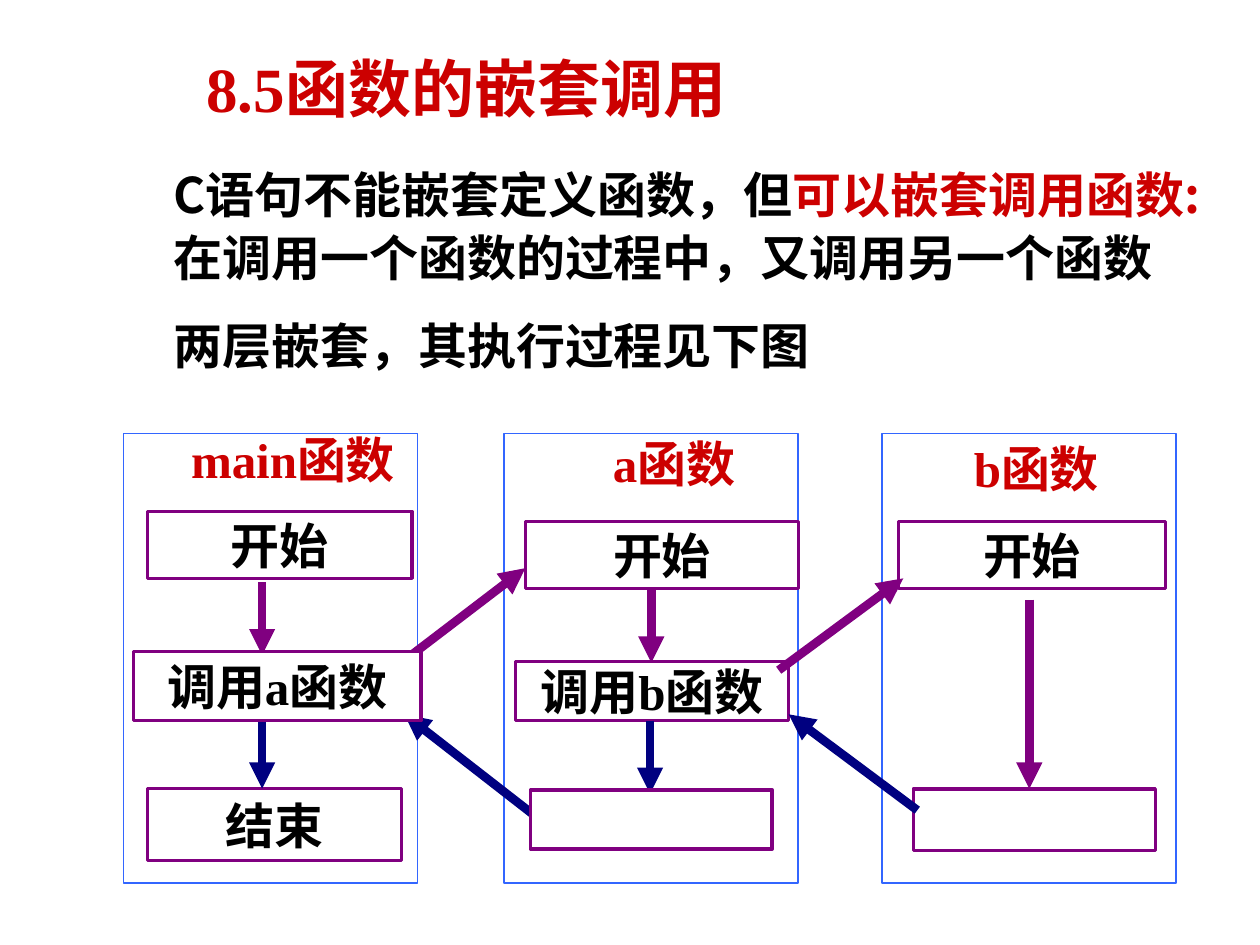
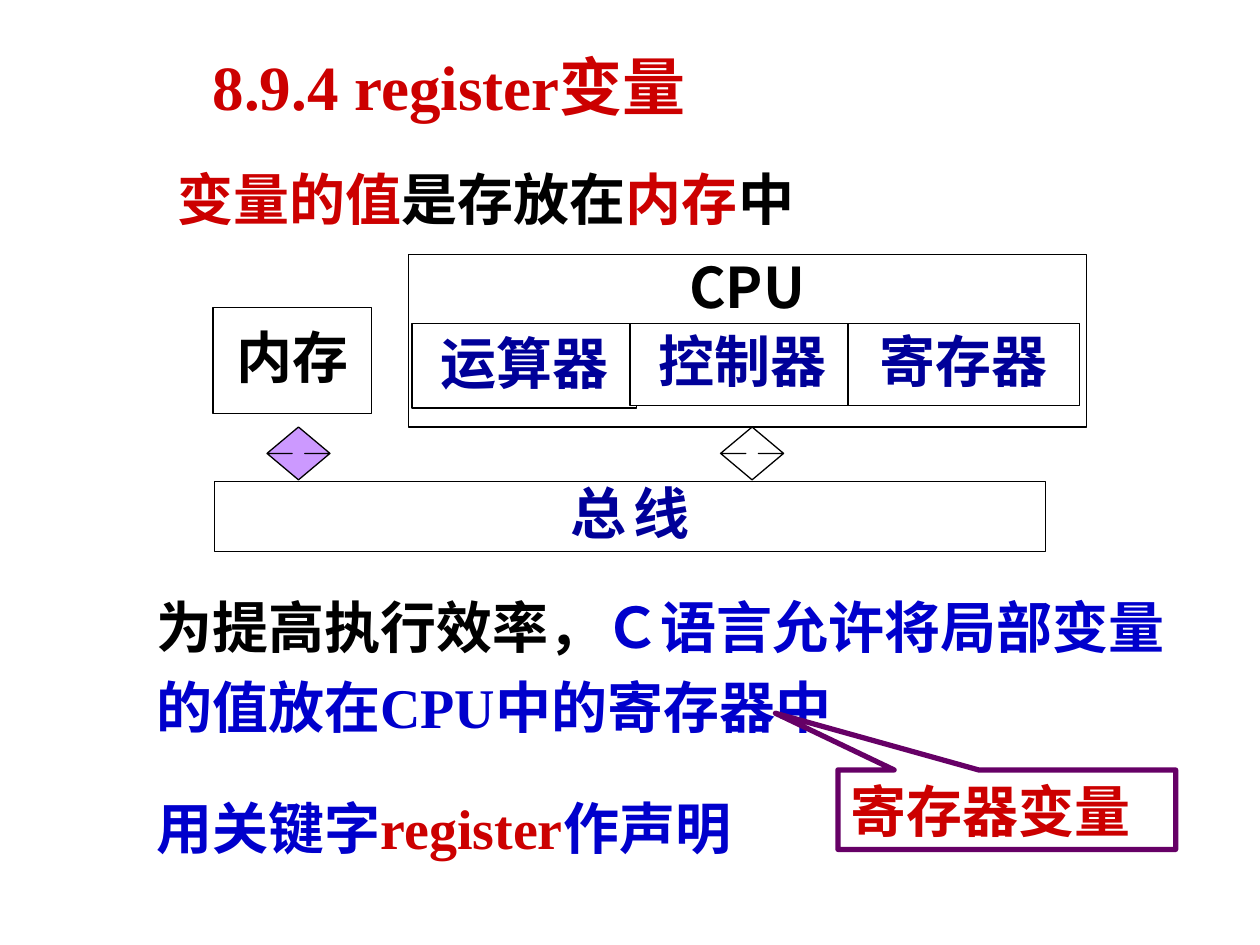
from dataclasses import dataclass

from lxml.etree import SubElement
from pptx import Presentation
from pptx.dml.color import RGBColor as RGB
from pptx.enum.shapes import MSO_CONNECTOR as Connector, MSO_SHAPE as Shape
from pptx.enum.text import MSO_ANCHOR as Anchor, MSO_AUTO_SIZE as AutoSize, PP_ALIGN as Align
from pptx.oxml.ns import qn
from pptx.util import Pt


@dataclass(frozen=True)
class Theme:
    serif: str = "Times New Roman"
    sans: str = "Noto Sans CJK SC"
    title_size: int = 36
    flow_size: int = 28
    register_size: int = 32
    black: str = "000000"
    white: str = "FFFFFF"
    red: str = "CC0000"
    blue: str = "0000CC"
    unit_blue: str = "000099"
    lane_line: str = "3366FF"
    call: str = "800080"
    back: str = "000080"
    callout_line: str = "660066"
    memory_arrow: str = "CC99FF"


THEME = Theme()


def set_attributes(target, values):
    for name, value in values.items():
        setattr(target, name, value)


def write_paragraph(paragraph, runs, size, font, **layout):
    """Fill a paragraph with (text, colour) runs in bold."""
    set_attributes(paragraph, layout)
    for text, color in runs:
        run = paragraph.add_run()
        run.text = text
        set_attributes(run.font, {"size": Pt(size), "bold": True, "name": font})
        run.font.color.rgb = RGB.from_string(color)
        # East Asian glyphs always use the sans face
        SubElement(run._r.get_or_add_rPr(), qn("a:ea"), typeface=THEME.sans)


def write_line(shape, runs, size, font, wrap=False, anchor=Anchor.MIDDLE, **layout):
    """Write a single paragraph into a shape or text box."""
    frame = shape.text_frame
    set_attributes(frame, {"word_wrap": wrap, "vertical_anchor": anchor})
    layout = {"alignment": Align.CENTER, **layout}
    write_paragraph(frame.paragraphs[0], runs, size, font, **layout)


def place(shape, box):
    set_attributes(shape, dict(zip(("left", "top", "width", "height"), map(Pt, box))))


def add_slide(presentation, title, box):
    """Add a slide with the shared title style."""
    slide = presentation.slides.add_slide(presentation.slide_layouts[1])
    shape = slide.shapes.title
    place(shape, box)
    shape.text_frame.auto_size = AutoSize.NONE
    write_line(shape, [(title, THEME.red)], THEME.title_size, THEME.serif, wrap=True)
    return slide


def fill_body(slide, box, paragraphs, size, font, anchor, line_spacing, indent=0):
    """Fill the body placeholder with (space before, runs) paragraphs."""
    body = slide.placeholders[1]
    place(body, box)
    frame = body.text_frame
    set_attributes(frame, {"auto_size": AutoSize.NONE, "vertical_anchor": anchor})
    for number, (space, runs) in enumerate(paragraphs):
        paragraph = frame.add_paragraph() if number else frame.paragraphs[0]
        properties = paragraph._p.get_or_add_pPr()
        properties.set("marL", "0")
        properties.set("indent", str(Pt(indent)))
        SubElement(properties, qn("a:buNone"))
        write_paragraph(paragraph, runs, size, font, alignment=Align.LEFT,
                        line_spacing=line_spacing, space_before=Pt(space))


def add_box(slide, box, line, width, kind=Shape.RECTANGLE, fill=THEME.white, adjust=()):
    shape = slide.shapes.add_shape(kind, *map(Pt, box))
    shape.shadow.inherit = False
    shape.fill.solid()
    shape.fill.fore_color.rgb = RGB.from_string(fill)
    shape.line.color.rgb = RGB.from_string(line)
    shape.line.width = Pt(width)
    for index, value in enumerate(adjust):
        shape.adjustments[index] = value
    return shape


def add_label(slide, box, runs, size, font, **options):
    write_line(slide.shapes.add_textbox(*map(Pt, box)), runs, size, font, **options)


def add_step(slide, box, text=""):
    shape = add_box(slide, box, THEME.call, 2)
    if text:
        write_line(shape, [(text, THEME.black)], THEME.flow_size, THEME.serif)


def add_arrow(slide, ends, color):
    arrow = slide.shapes.add_connector(Connector.STRAIGHT, *map(Pt, ends))
    arrow.line.color.rgb = RGB.from_string(color)
    arrow.line.width = Pt(5)
    SubElement(arrow.line._get_or_add_ln(), qn("a:tailEnd"), type="triangle")
    SubElement(arrow._element.spPr, qn("a:effectLst"))


def add_unit(slide, box, text, color, **options):
    """Add a hardware unit of the register diagram."""
    shape = add_box(slide, box, THEME.black, 0.75)
    write_line(shape, [(text, color)], THEME.register_size, THEME.sans,
               line_spacing=0.9, **options)


def build_nested_calls(presentation):
    slide = add_slide(presentation, "8.5函数的嵌套调用", (88, 23, 357, 54))
    fill_body(slide, (54, 94.3, 635, 130.3), [
        (0, [("C语句不能嵌套定义函数，但", THEME.black), ("可以嵌套调用函数:", THEME.red)]),
        (5.6, [("在调用一个函数的过程中，又调用另一个函数", THEME.black)]),
        (20, [("两层嵌套，其执行过程见下图", THEME.black)]),
    ], THEME.flow_size, THEME.sans, Anchor.TOP, 0.9, indent=38)

    # One lane per function
    for left in (70.6, 288, 504):
        add_box(slide, (left, 247.7, 168, 257), THEME.lane_line, 0.75)

    # Steps beneath the arrows
    for box, text in (
        ((84.2, 292.3, 151.2, 38.2), "开始"),
        ((84.2, 450.7, 145.4, 41), "结束"),
        ((300.2, 298.1, 156.2, 38.2), "开始"),
        ((294.5, 378, 156.2, 33.8), "调用b函数"),
        ((513.4, 298.1, 152.6, 38.2), "开始"),
        ((522, 450.7, 138.2, 35.3), ""),
    ):
        add_step(slide, box, text)

    # Calls go right and down, returns go left and down
    flows = {
        THEME.call: (
            (149.8, 332.6, 149.8, 374.4),
            (221.8, 384.5, 300.2, 324.7),
            (372.2, 336.2, 372.2, 378.7),
            (445, 383, 516.2, 330.5),
            (588.2, 342.7, 588.2, 450.7),
        ),
        THEME.back: (
            (524.2, 463, 450.7, 408.2),
            (371.5, 411.8, 371.5, 453.6),
            (308.9, 468.7, 231.1, 408.2),
            (149.8, 408.2, 149.8, 450.7),
        ),
    }
    for color, arrows in flows.items():
        for ends in arrows:
            add_arrow(slide, ends, color)

    # Lane names
    for box, name in (
        ((93.6, 247.7, 147.6, 33.8), "main函数"),
        ((303.1, 247, 164.2, 39.6), "a函数"),
        ((518.4, 252.7, 147.6, 33.8), "b函数"),
    ):
        add_label(slide, box, [(name, THEME.red)], THEME.flow_size, THEME.serif,
                  line_spacing=0.9)

    # Steps covering arrow ends
    add_step(slide, (76.3, 372.2, 164.2, 39.6), "调用a函数")
    add_step(slide, (303.1, 451.4, 138.2, 33.8))


def build_register_variables(presentation):
    slide = add_slide(presentation, "8.9.4 register变量", (95, 26, 323.3, 45.4))
    fill_body(slide, (82, 327, 595.4, 168.5), [
        (0, [("为提高执行效率，", THEME.black),
             ("Ｃ语言允许将局部变量的值放在CPU中的寄存器中", THEME.blue)]),
        (23, [("用关键字", THEME.blue), ("register", THEME.red), ("作声明", THEME.blue)]),
    ], THEME.register_size, THEME.serif, Anchor.MIDDLE, 1.2)
    add_label(slide, (94.3, 82.8, 402.5, 53.3), [
        ("变量的值", THEME.red), ("是存放在", THEME.black),
        ("内存", THEME.red), ("中", THEME.black),
    ], THEME.register_size, THEME.sans, wrap=True, anchor=Anchor.TOP,
        alignment=Align.LEFT, line_spacing=1.2)

    # Memory, processor and bus
    add_unit(slide, (121.7, 175.7, 90.7, 60.5), "内存", THEME.black)
    add_unit(slide, (233.3, 145.4, 387.4, 98.6), "CPU", THEME.black, anchor=Anchor.TOP)
    add_unit(slide, (122.4, 275, 475.2, 40.3), "总\t线", THEME.unit_blue)
    for left, fill in ((152.6, THEME.memory_arrow), (411.8, THEME.white)):
        add_box(slide, (left, 244, 36, 30.2), THEME.black, 0.75,
                Shape.UP_DOWN_ARROW, fill, (0.5, 0.2))

    # Parts of the processor
    for index, (name, width, height) in enumerate((
        ("运算器", 128.2, 48.2), ("控制器", 128.2, 46.8), ("寄存器", 132.5, 46.8),
    )):
        add_unit(slide, (235.4 + 124.6 * index, 185, width, height), name, THEME.unit_blue)

    # Callout pointing at the keyword
    callout = add_box(slide, (478.8, 440, 193, 45.4), THEME.callout_line, 3,
                      Shape.RECTANGULAR_CALLOUT, adjust=(-0.685, -1.214))
    write_line(callout, [("寄存器变量", THEME.red)], THEME.register_size, THEME.sans,
               wrap=True, alignment=Align.LEFT)


def main():
    presentation = Presentation()
    set_attributes(presentation, {"slide_width": Pt(720), "slide_height": Pt(540)})
    build_nested_calls(presentation)
    build_register_variables(presentation)
    presentation.save("out.pptx")


if __name__ == "__main__":
    main()
